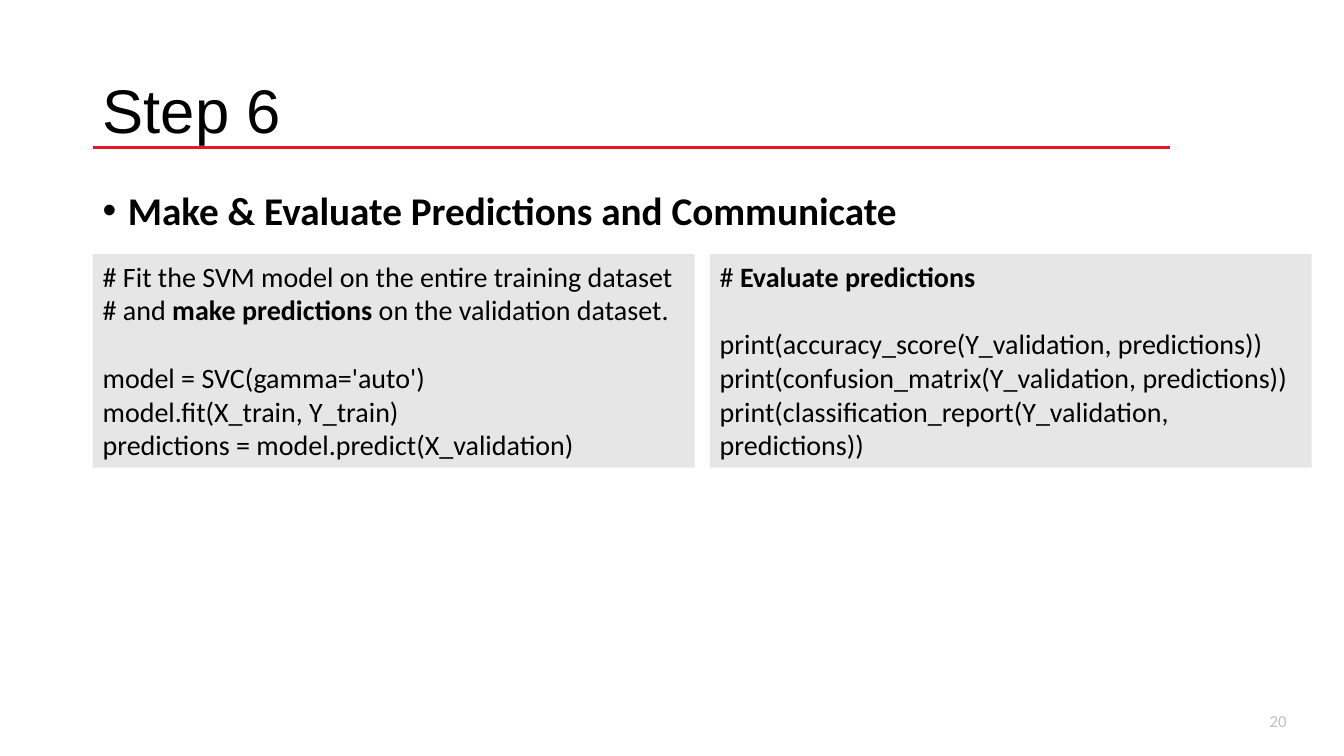
from lxml import etree
from pptx import Presentation, util as u
from pptx.dml.color import RGBColor
from pptx.enum import shapes, text
from pptx.oxml.ns import qn

WIDTH, HEIGHT = 13.33, 7.5
LEFT, CONTENT_WIDTH = 0.92, 11.5
PANEL_TOP, PANEL_WIDTH, PANEL_HEIGHT, PANEL_GAP = 2.52, 5.97, 2.12, 0.15
CODE_SIZE, CODE_GAP = 20, 24.4

HEADING = "Step 6"
TOPIC = "Make & Evaluate Predictions and Communicate"
PAGE_NUMBER = "20"
PANELS = [
    {
        "comment": [
            ("# Fit the SVM model on the entire training dataset # and ", False),
            ("make predictions ", True),
            ("on the validation dataset.", False),
        ],
        "code": [
            "model = SVC(gamma='auto')",
            "model.fit(X_train, Y_train)",
            "predictions = model.predict(X_validation)",
        ],
    },
    {
        "comment": [("# ", False), ("Evaluate predictions", True)],
        "code": [
            "print(accuracy_score(Y_validation, predictions))",
            "print(confusion_matrix(Y_validation, predictions))",
            "print(classification_report(Y_validation, predictions))",
        ],
    },
]


def color(value):
    return RGBColor.from_string(value)


def box(left, top, width, height):
    return [u.Inches(n) for n in (left, top, width, height)]


def style(paragraph, size, font="Calibri", ink="000000", bold=None,
          align=text.PP_ALIGN.LEFT):
    paragraph.alignment = align
    paragraph.font.name = font
    paragraph.font.size = u.Pt(size)
    paragraph.font.color.rgb = color(ink)
    paragraph.font.bold = bold


def add_label(slide, words, place, anchor=text.MSO_ANCHOR.TOP, **look):
    frame = slide.shapes.add_textbox(*box(*place)).text_frame
    frame.word_wrap = True
    frame.vertical_anchor = anchor
    paragraph = frame.paragraphs[0]
    paragraph.text = words
    style(paragraph, **look)
    return paragraph


def add_bullet(paragraph):
    paragraph.line_spacing = 0.9
    paragraph.space_before = u.Pt(10)
    properties = paragraph._p.get_or_add_pPr()
    properties.set("marL", str(u.Inches(0.25)))
    properties.set("indent", str(u.Inches(-0.25)))
    font = etree.Element(qn("a:buFont"), typeface="Arial")
    bullet = etree.Element(qn("a:buChar"), char="•")
    place = properties.index(properties.find(qn("a:defRPr")))
    properties[place:place] = [font, bullet]


def add_panel(slide, column, content):
    left = LEFT + column * (PANEL_WIDTH + PANEL_GAP)
    panel = slide.shapes.add_shape(
        shapes.MSO_SHAPE.RECTANGLE,
        *box(left, PANEL_TOP, PANEL_WIDTH, PANEL_HEIGHT))
    panel.shadow.inherit = False
    panel.fill.solid()
    panel.fill.fore_color.rgb = color("E7E6E6")
    panel.line.fill.background()
    frame = panel.text_frame
    frame.word_wrap = True
    frame.vertical_anchor = text.MSO_ANCHOR.TOP
    comment = frame.paragraphs[0]
    for words, bold in content["comment"]:
        run = comment.add_run()
        run.text = words
        run.font.bold = bold
    style(comment, CODE_SIZE)
    comment.space_after = u.Pt(CODE_GAP)
    for line in content["code"]:
        statement = frame.add_paragraph()
        statement.text = line
        style(statement, CODE_SIZE)


def main():
    deck = Presentation()
    deck.slide_width, deck.slide_height = u.Inches(WIDTH), u.Inches(HEIGHT)
    slide = deck.slides.add_slide(deck.slide_layouts[5])

    title = slide.shapes.title
    title.left, title.top, title.width, title.height = box(
        LEFT, 0.4, CONTENT_WIDTH, 1.45)
    title.text_frame.text = HEADING
    title.text_frame.vertical_anchor = text.MSO_ANCHOR.MIDDLE
    heading = title.text_frame.paragraphs[0]
    style(heading, 44, font="Arial")
    heading.line_spacing = 0.9

    rule = slide.shapes.add_connector(
        shapes.MSO_CONNECTOR.STRAIGHT,
        *box(LEFT, 1.46, 11.6, 1.46))
    rule.line.color.rgb = color("E1192B")
    rule.line.width = u.Pt(2)
    etree.SubElement(rule._element.spPr, qn("a:effectLst"))

    topic = add_label(slide, TOPIC, (LEFT, 1.85, CONTENT_WIDTH, 0.75),
                      size=28, bold=True)
    add_bullet(topic)
    add_label(slide, PAGE_NUMBER, (9.86, 6.95, 3, 0.4),
              anchor=text.MSO_ANCHOR.MIDDLE, size=12, ink="BFBFBF",
              align=text.PP_ALIGN.RIGHT)
    for column, content in enumerate(PANELS):
        add_panel(slide, column, content)
    deck.save("out.pptx")


if __name__ == "__main__":
    main()
